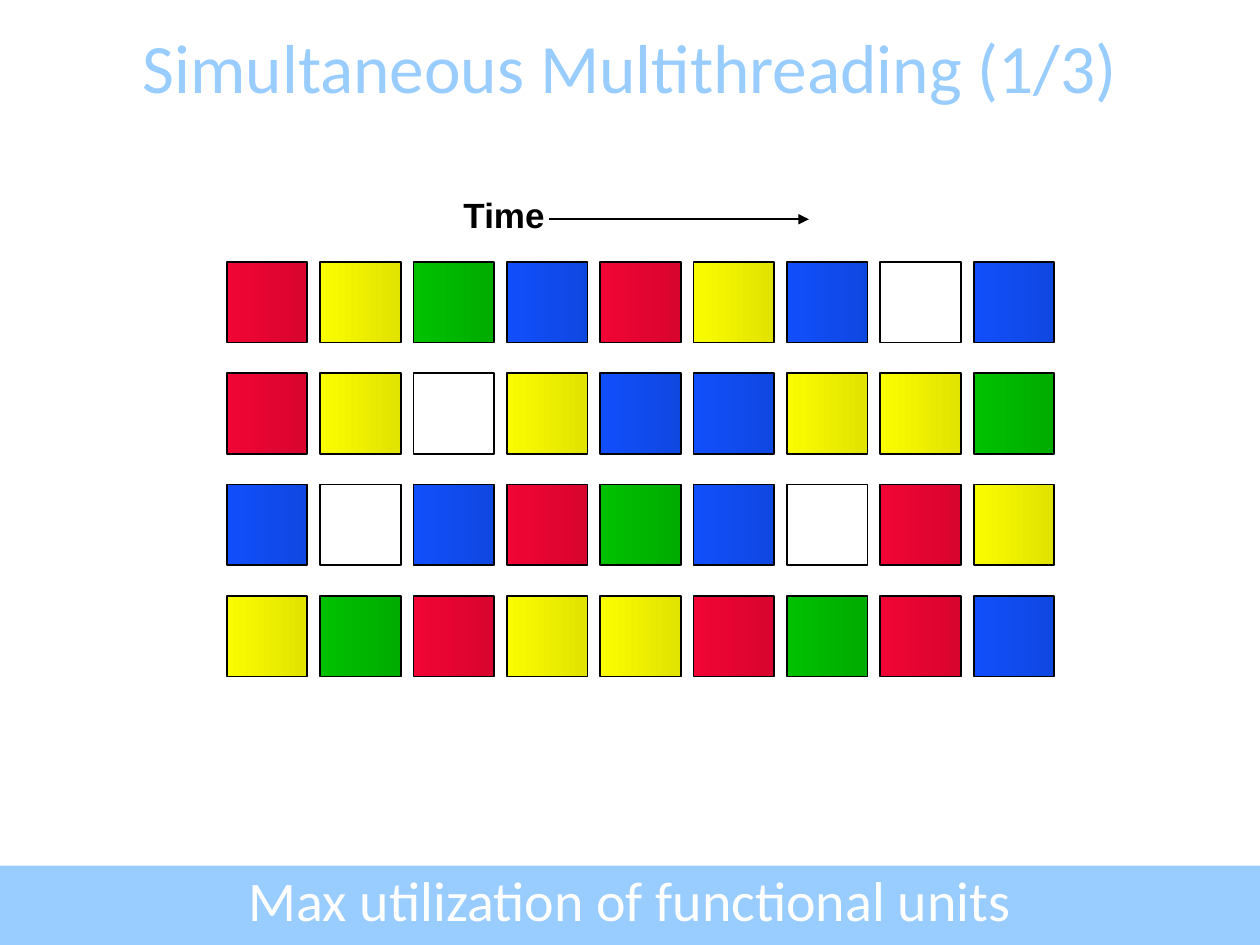
from lxml import etree
from pptx import Presentation
from pptx.dml.color import RGBColor
from pptx.enum.shapes import MSO_CONNECTOR, MSO_SHAPE
from pptx.enum.text import MSO_ANCHOR, PP_ALIGN
from pptx.oxml.ns import qn
from pptx.util import Inches, Pt

RECT = MSO_SHAPE.RECTANGLE
LINE = MSO_CONNECTOR.STRAIGHT
MIDDLE = MSO_ANCHOR.MIDDLE
LEFT, CENTER = PP_ALIGN.LEFT, PP_ALIGN.CENTER

SKY, BLACK, WHITE = "99CCFF", "000000", "FFFFFF"

# One letter per thread, with its gradient; a dot is an idle unit
THREADS = {
    "R": ("F10534", "D8052F"),
    "Y": ("FAFD00", "E1E300"),
    "G": ("00C000", "00AC00"),
    "B": ("114FFB", "0F47E1"),
}
UNITS = ["RYGBRYB.B", "RY.YBBYYG", "B.BRGB.RY", "YGRYYRGRB"]
GRID_X, GRID_Y = 1.8, 2.08
STEP_X, STEP_Y = 0.741, 0.883
SIDE = 0.64


def color(code):
    return RGBColor.from_string(code)


def write(frame, text, size, font, code, align=LEFT, bold=False):
    frame.text = text
    frame.word_wrap = True
    para = frame.paragraphs[0]
    para.alignment = align
    para.font.size = Pt(size)
    para.font.name = font
    para.font.bold = bold
    para.font.color.rgb = color(code)


def add_title(slide, text):
    title = slide.shapes.title
    title.left, title.top = Inches(0), Inches(0.21)
    title.width, title.height = Inches(10), Inches(0.63)
    title.text_frame.vertical_anchor = MIDDLE
    write(title.text_frame, text, 39.6, "Calibri", SKY, CENTER)


def add_label(slide, x, y, w, h, *style):
    box = slide.shapes.add_textbox(Inches(x), Inches(y), Inches(w), Inches(h))
    write(box.text_frame, *style)


def add_rect(slide, x, y, w, h):
    rect = slide.shapes.add_shape(RECT, Inches(x), Inches(y), Inches(w), Inches(h))
    rect.shadow.inherit = False
    return rect


def add_bar(slide):
    bar = add_rect(slide, 0, 6.87, 10, 0.63)
    bar.fill.solid()
    bar.fill.fore_color.rgb = color(SKY)
    bar.line.fill.background()


def add_slot(slide, x, y, thread):
    slot = add_rect(slide, x, y, SIDE, SIDE)
    slot.line.color.rgb = color(BLACK)
    slot.line.width = Pt(1)
    if thread not in THREADS:
        slot.fill.background()
        return
    slot.fill.gradient()
    slot.fill.gradient_angle = 0
    for stop, code in zip(slot.fill.gradient_stops, THREADS[thread]):
        stop.color.rgb = color(code)


def add_arrow(slide, x1, y1, x2, y2):
    arrow = slide.shapes.add_connector(
        LINE, Inches(x1), Inches(y1), Inches(x2), Inches(y2))
    arrow.line.color.rgb = color(BLACK)
    arrow.line.width = Pt(1)
    line = arrow.line._get_or_add_ln()
    etree.SubElement(line, qn("a:tailEnd"), type="triangle")
    etree.SubElement(arrow._element.spPr, qn("a:effectLst"))


def main():
    deck = Presentation()
    deck.slide_width, deck.slide_height = Inches(10), Inches(7.5)
    slide = deck.slides.add_slide(deck.slide_layouts[5])

    # Footer bar and title
    add_bar(slide)
    add_title(slide, "Simultaneous Multithreading (1/3)")

    # Grid: a row per functional unit, a column per cycle
    for row, unit in enumerate(UNITS):
        for col, thread in enumerate(unit):
            add_slot(slide, GRID_X + col * STEP_X, GRID_Y + row * STEP_Y, thread)

    # Time axis
    add_label(slide, 3.58, 1.49, 0.89, 0.43, "Time", 20, "Arial", BLACK, LEFT, True)
    add_arrow(slide, 4.36, 1.74, 6.42, 1.74)

    # Takeaway
    add_label(slide, 0, 6.82, 10, 0.63, "Max utilization of functional units",
              32, "Calibri", WHITE, CENTER)

    deck.save("out.pptx")


if __name__ == "__main__":
    main()
